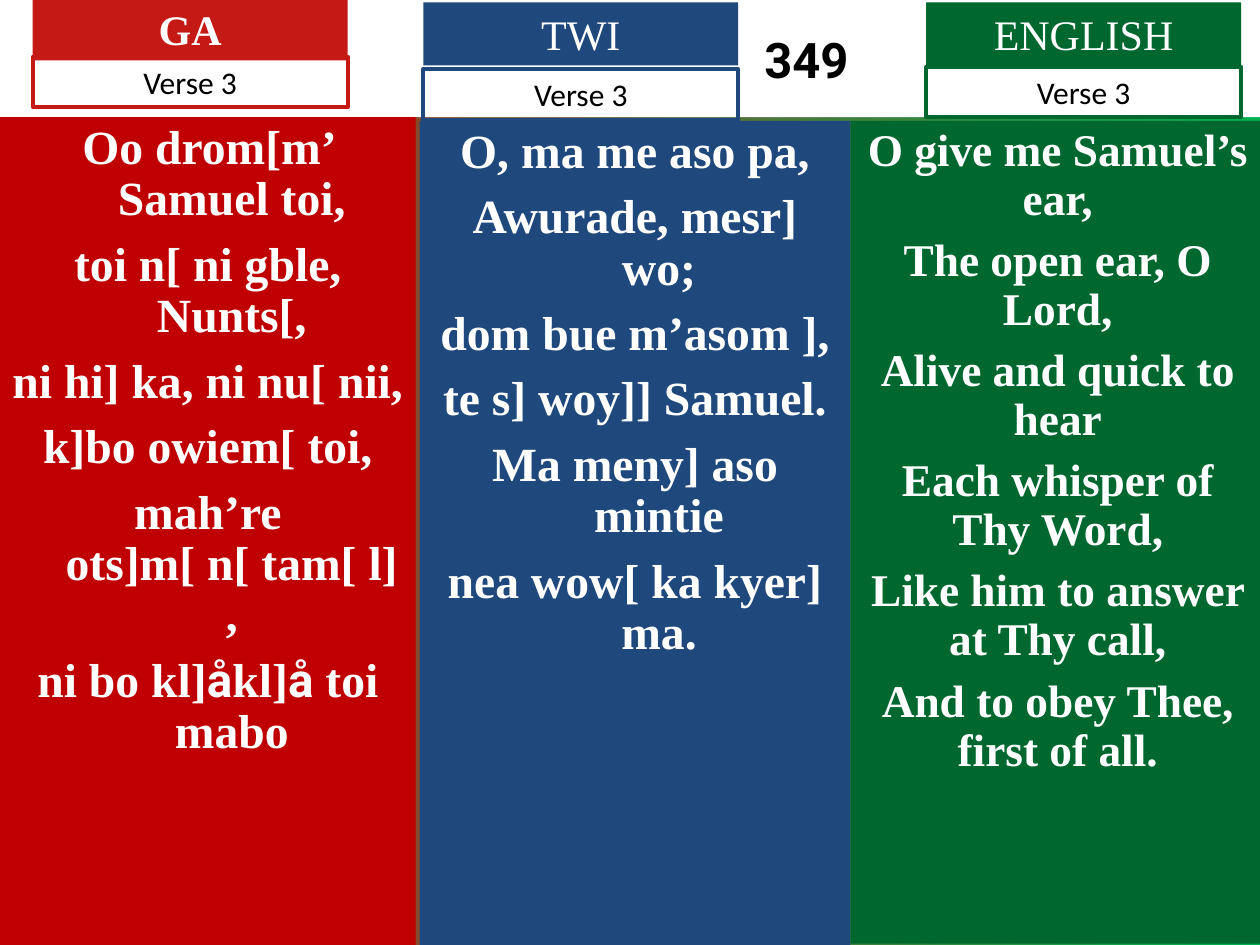
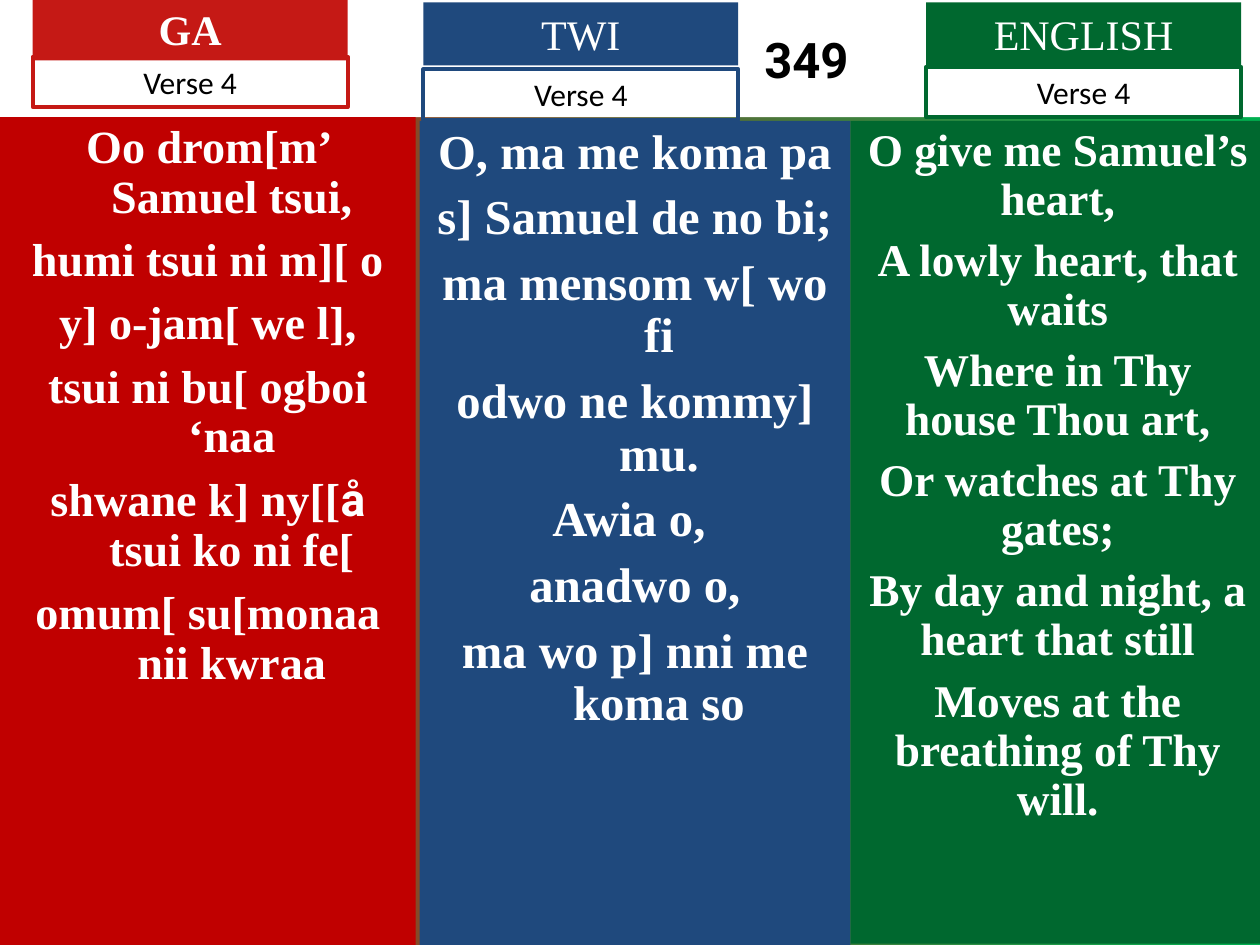
from dataclasses import dataclass
from itertools import groupby

from pptx import Presentation
from pptx import util as u
from pptx.dml.color import RGBColor
from pptx.enum import text as t

RED = RGBColor(0xC0, 0x00, 0x00)
SCARLET = RGBColor(0xC5, 0x19, 0x15)
BLUE = RGBColor(0x1F, 0x49, 0x7D)
GREEN = RGBColor(0x00, 0x68, 0x2F)
LIME = RGBColor(0x00, 0xB0, 0x50)
WHITE = RGBColor(0xFF, 0xFF, 0xFF)
BLACK = RGBColor(0x00, 0x00, 0x00)

SERIF, SANS, BODY = "Times New Roman", "Roboto", "Calibri"
HYMN = "349"


@dataclass(frozen=True)
class Box:
    left: float
    top: float
    width: float
    height: float

    def inches(self) -> list[u.Length]:
        return [u.Inches(v) for v in (self.left, self.top, self.width, self.height)]


@dataclass(frozen=True)
class Column:
    """One language: its heading, verse label and panel of words."""
    name: str
    tint: RGBColor
    fill: RGBColor
    panel: Box
    left: float
    top: float
    label_top: float
    bold: bool = False
    hang: float = 0


@dataclass(frozen=True)
class Words:
    size: float
    gap: float
    lines: tuple[str, ...]


@dataclass(frozen=True)
class Verse:
    number: int
    words: tuple[Words, ...]


COLUMNS = (
    Column("GA", SCARLET, RED, Box(0, 0.93, 3.3, 6.57), 0.26, -0.02, 0.45, bold=True, hang=0.38),
    Column("TWI", BLUE, BLUE, Box(3.33, 0.96, 3.42, 6.54), 3.36, 0.02, 0.55, hang=0.38),
    Column("ENGLISH", GREEN, GREEN, Box(6.75, 0.96, 3.29, 6.53), 7.35, 0.02, 0.53),
)

VERSES = (
    Verse(3, (
        Words(27.2, 8, (
            "Oo drom[m’ Samuel toi,",
            "toi n[ ni gble, Nunts[,",
            "ni hi] ka, ni nu[ nii,",
            "k]bo owiem[ toi,",
            "mah’re ots]m[ n[ tam[ l],",
            "ni bo kl]åkl]å toi mabo",
        )),
        Words(27.2, 8, (
            "O, ma me aso pa,",
            "Awurade, mesr] wo;",
            "dom bue m’asom ],",
            "te s] woy]] Samuel.",
            "Ma meny] aso mintie",
            "nea wow[ ka kyer] ma.",
        )),
        Words(25.9, 7, (
            "O give me Samuel’s ear,",
            "The open ear, O Lord,",
            "Alive and quick to hear",
            "Each whisper of Thy Word,",
            "Like him to answer at Thy call,",
            "And to obey Thee, first of all.",
        )),
    )),
    Verse(4, (
        Words(26.4, 7.7, (
            "Oo drom[m’ Samuel tsui,",
            "humi tsui ni m][ o",
            "y] o-jam[ we l],",
            "tsui ni bu[ ogboi ‘naa",
            "shwane k] ny[[å tsui ko ni fe[",
            "omum[ su[monaa nii kwraa",
        )),
        Words(27.8, 7.5, (
            "O, ma me koma pa",
            "s] Samuel de no bi;",
            "ma mensom w[ wo fi",
            "odwo ne kommy] mu.",
            "Awia o, ",
            "anadwo o,",
            "ma wo p] nni me koma so",
        )),
        Words(25.9, 7, (
            "O give me Samuel’s heart,",
            "A lowly heart, that waits",
            "Where in Thy house Thou art,",
            "Or watches at Thy gates;",
            "By day and night, a heart that still",
            "Moves at the breathing of Thy will.",
        )),
    )),
)


def add_run(para, words: str, font: str, size: float, color: RGBColor, bold: bool) -> None:
    run = para.add_run()
    run.text = words
    run.font.name = font
    run.font.size = u.Pt(size)
    run.font.color.rgb = color
    run.font.bold = bold


def add_box(slide, box: Box):
    shape = slide.shapes.add_textbox(*box.inches())
    shape.text_frame.word_wrap = True
    shape.text_frame.paragraphs[0].alignment = t.PP_ALIGN.CENTER
    return shape


def paint(shape, color: RGBColor) -> None:
    shape.fill.solid()
    shape.fill.fore_color.rgb = color


def add_title(slide) -> None:
    title = slide.shapes.title
    title.left, title.top, title.width, title.height = Box(0, 0, 10, 0.93).inches()
    paint(title, WHITE)
    frame = title.text_frame
    frame.vertical_anchor = t.MSO_ANCHOR.MIDDLE
    frame.margin_left = u.Inches(2.9)  # centres the number between the headings
    para = frame.paragraphs[0]
    para.alignment = t.PP_ALIGN.CENTER
    add_run(para, HYMN, SANS, 28, BLACK, True)


def add_panel(slide, col: Column, words: Words) -> None:
    shape = add_box(slide, col.panel)
    paint(shape, col.fill)
    frame = shape.text_frame
    for i, line in enumerate(words.lines):
        para = frame.add_paragraph() if i else frame.paragraphs[0]
        para.alignment = t.PP_ALIGN.CENTER
        para.line_spacing = 0.9
        para.space_before = u.Pt(words.gap if i else 0)
        if col.hang:
            props = para._p.get_or_add_pPr()
            props.set("marL", str(u.Inches(col.hang)))
            props.set("indent", str(-u.Inches(col.hang)))
        for ring, chars in groupby(line, lambda c: c == "å"):
            add_run(para, "".join(chars), SANS if ring else SERIF, words.size, WHITE, True)


def add_heads(slide, col: Column, number: int) -> None:
    head = add_box(slide, Box(col.left, col.top, 2.5, 0.5))
    paint(head, col.tint)
    add_run(head.text_frame.paragraphs[0], col.name, SERIF, 24, WHITE, col.bold)
    label = add_box(slide, Box(col.left, col.label_top, 2.5, 0.4))
    label.line.color.rgb = col.tint
    label.line.width = u.Pt(2.25)
    add_run(label.text_frame.paragraphs[0], f"Verse {number}", BODY, 18, BLACK, False)


def add_verse(deck, verse: Verse) -> None:
    slide = deck.slides.add_slide(deck.slide_layouts[5])
    back = slide.background.fill
    back.gradient()
    back.gradient_angle = 0
    for stop, color in zip(back.gradient_stops, (SCARLET, LIME)):
        stop.color.rgb = color
    add_title(slide)
    for col, words in zip(COLUMNS, verse.words):
        add_panel(slide, col, words)
    for col in COLUMNS:
        add_heads(slide, col, verse.number)


def main() -> None:
    deck = Presentation()
    deck.slide_width, deck.slide_height = u.Inches(10), u.Inches(7.5)
    for verse in VERSES:
        add_verse(deck, verse)
    deck.save("out.pptx")


if __name__ == "__main__":
    main()
